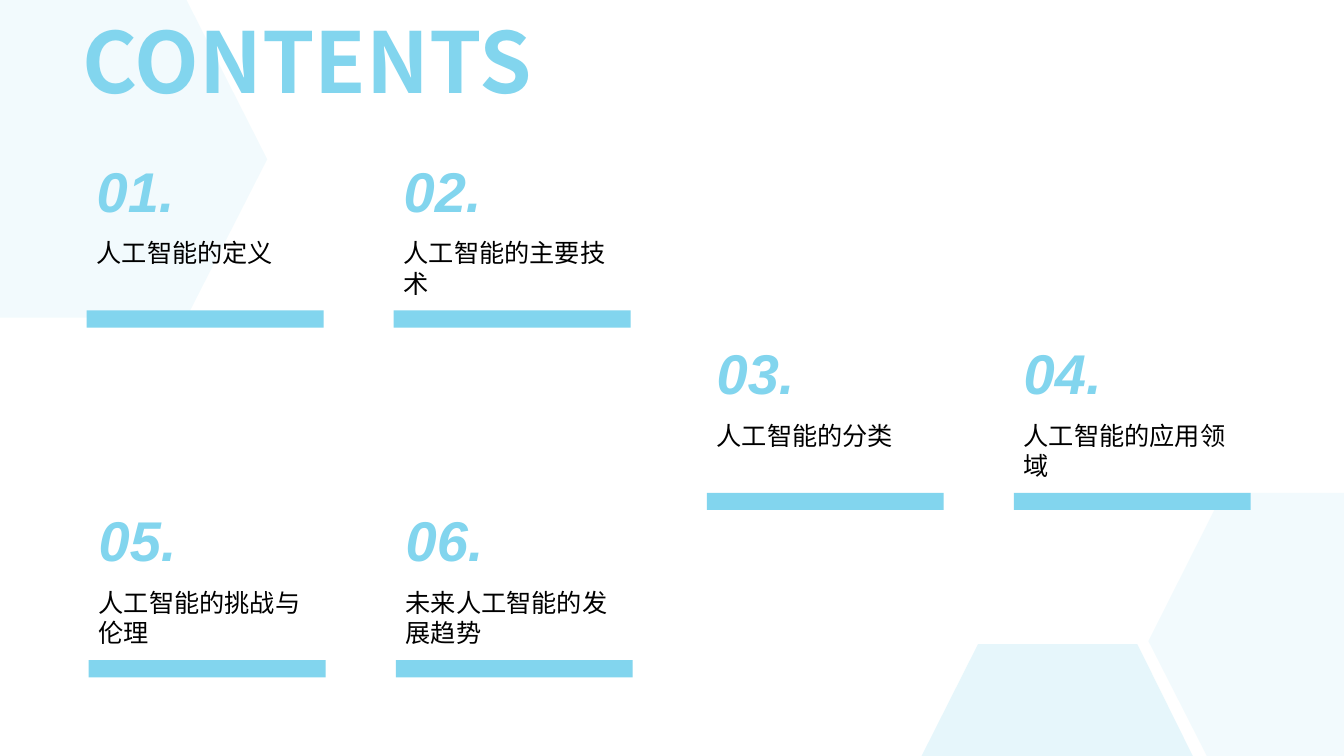
from dataclasses import dataclass

from lxml import etree
from pptx import Presentation
from pptx.dml.color import RGBColor
from pptx.enum.shapes import MSO_SHAPE
from pptx.enum.text import MSO_ANCHOR, MSO_AUTO_SIZE, PP_ALIGN
from pptx.oxml.ns import qn
from pptx.util import Inches, Pt

RECTANGLE = MSO_SHAPE.RECTANGLE
BOTTOM = MSO_ANCHOR.BOTTOM
LEFT = PP_ALIGN.LEFT
NO_AUTOFIT = MSO_AUTO_SIZE.NONE
GROW = MSO_AUTO_SIZE.SHAPE_TO_FIT_TEXT
TITLE_ONLY = 5


@dataclass(frozen=True)
class Theme:
    accent: RGBColor = RGBColor(0x82, 0xD5, 0xEE)
    ink: RGBColor = RGBColor(0, 0, 0)
    heading_font: str = "Noto Sans CJK SC"
    number_font: str = "Arial"
    title_size: int = 60
    number_size: int = 40
    topic_size: int = 18


THEME = Theme()

HEXAGONS = [
    ([(0, 0), (1.85, 0), (2.65, 1.58), (1.85, 3.15), (0, 3.15)], 10),
    ([(9.7, 6.39), (11.28, 6.39), (11.83, 7.5), (9.14, 7.5)], 20),
    ([(12.13, 4.89), (13.33, 4.89), (13.33, 7.5), (11.97, 7.5), (11.39, 6.36)], 10),
]

ENTRY_PITCH = 3.045
ENTRY_WIDTH = 2.35
ENTRY_ROWS = [
    (0.86, 1.5, ["人工智能的定义", "人工智能的主要技术"]),
    (7.01, 3.31, ["人工智能的分类", "人工智能的应用领域"]),
    (0.88, 4.97, ["人工智能的挑战与伦理", "未来人工智能的发展趋势"]),
]


def add_run(paragraph, text, font_name, size, color, bold=False, italic=False):
    run = paragraph.add_run()
    run.text = text
    font = run.font
    font.name = font_name
    font.size = Pt(size)
    font.bold = bold
    font.italic = italic
    font.color.rgb = color
    east_asian = etree.Element(qn("a:ea"), typeface=font_name)
    run.font._element.find(qn("a:latin")).addnext(east_asian)


def fill_accent(shape):
    shape.shadow.inherit = False
    shape.fill.solid()
    shape.fill.fore_color.rgb = THEME.accent
    shape.line.fill.background()


def add_hexagon(slide, corners, opacity):
    points = [(Inches(x), Inches(y)) for x, y in corners]
    builder = slide.shapes.build_freeform(*points[0], scale=1.0)
    builder.add_line_segments(points[1:], close=True)
    hexagon = builder.convert_to_shape()
    fill_accent(hexagon)
    color = hexagon._element.spPr.find(qn("a:solidFill")).find(qn("a:srgbClr"))
    etree.SubElement(color, qn("a:alpha"), val=str(opacity * 1000))


def add_title(slide, left, top, width, height):
    title = slide.shapes.title
    title.left, title.top = Inches(left), Inches(top)
    title.width, title.height = Inches(width), Inches(height)
    frame = title.text_frame
    frame.auto_size = NO_AUTOFIT
    frame.vertical_anchor = BOTTOM
    heading = frame.paragraphs[0]
    heading.alignment = LEFT
    heading.line_spacing = 0.9
    add_run(heading, "CONTENTS", THEME.heading_font, THEME.title_size,
            THEME.accent, bold=True)


def add_label(slide, left, top, width, height):
    label = slide.shapes.add_textbox(
        Inches(left), Inches(top), Inches(width), Inches(height))
    label.text_frame.word_wrap = True
    label.text_frame.auto_size = GROW
    return label.text_frame.paragraphs[0]


def add_entry(slide, left, top, width, number, topic):
    add_run(add_label(slide, left, top + 0.81, width, 0.4), topic,
            THEME.heading_font, THEME.topic_size, THEME.ink)
    add_run(add_label(slide, left, top, width, 0.77), f"{number:02d}.",
            THEME.number_font, THEME.number_size, THEME.accent,
            bold=True, italic=True)
    bar = slide.shapes.add_shape(
        RECTANGLE, Inches(left), Inches(top + 1.58), Inches(width), Inches(0.17))
    fill_accent(bar)


def build_contents(presentation):
    slide = presentation.slides.add_slide(presentation.slide_layouts[TITLE_ONLY])
    for corners, opacity in HEXAGONS:
        add_hexagon(slide, corners, opacity)
    add_title(slide, 0.72, 0.04, 5.58, 1.12)
    title_element = slide.shapes.title._element
    title_element.getparent().append(title_element)
    number = 1
    for left, top, topics in ENTRY_ROWS:
        for column, topic in enumerate(topics):
            add_entry(slide, left + column * ENTRY_PITCH, top, ENTRY_WIDTH,
                      number, topic)
            number += 1


def main():
    presentation = Presentation()
    presentation.slide_width = Inches(13.33)
    presentation.slide_height = Inches(7.5)
    build_contents(presentation)
    presentation.save("out.pptx")


if __name__ == "__main__":
    main()
